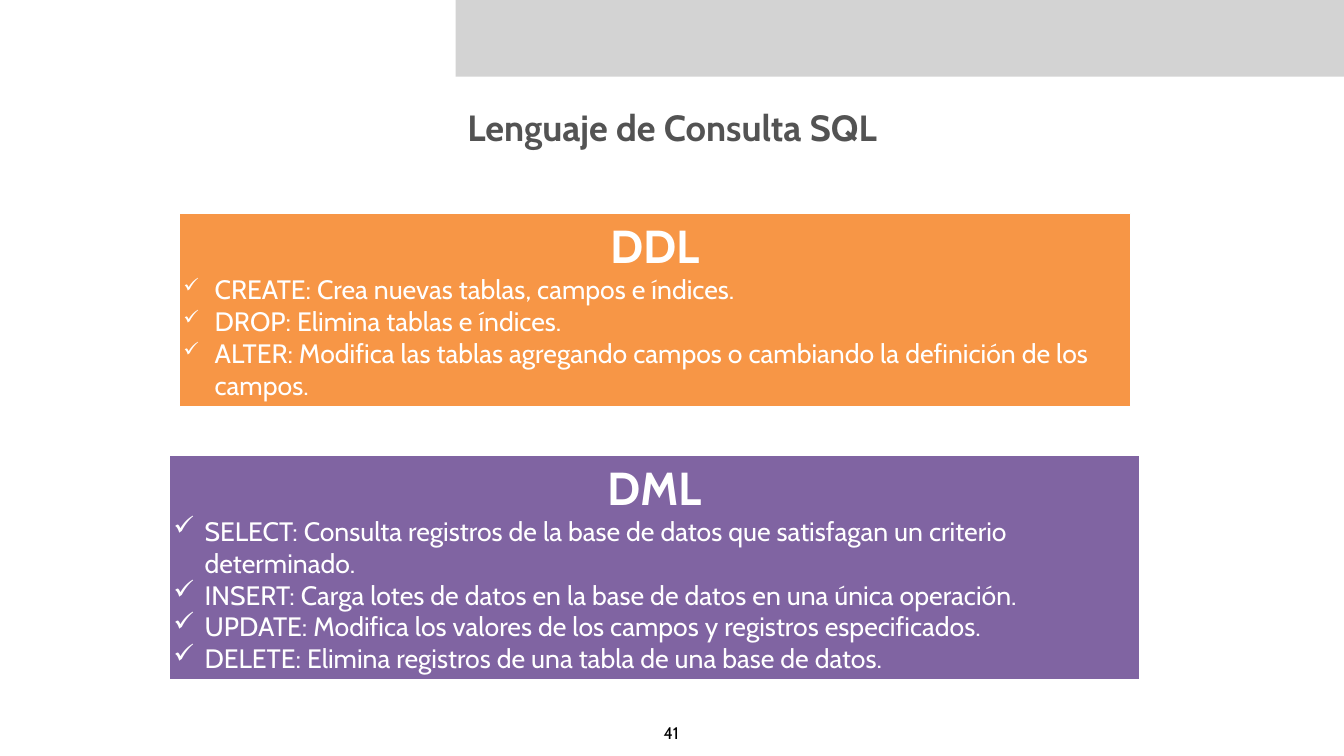
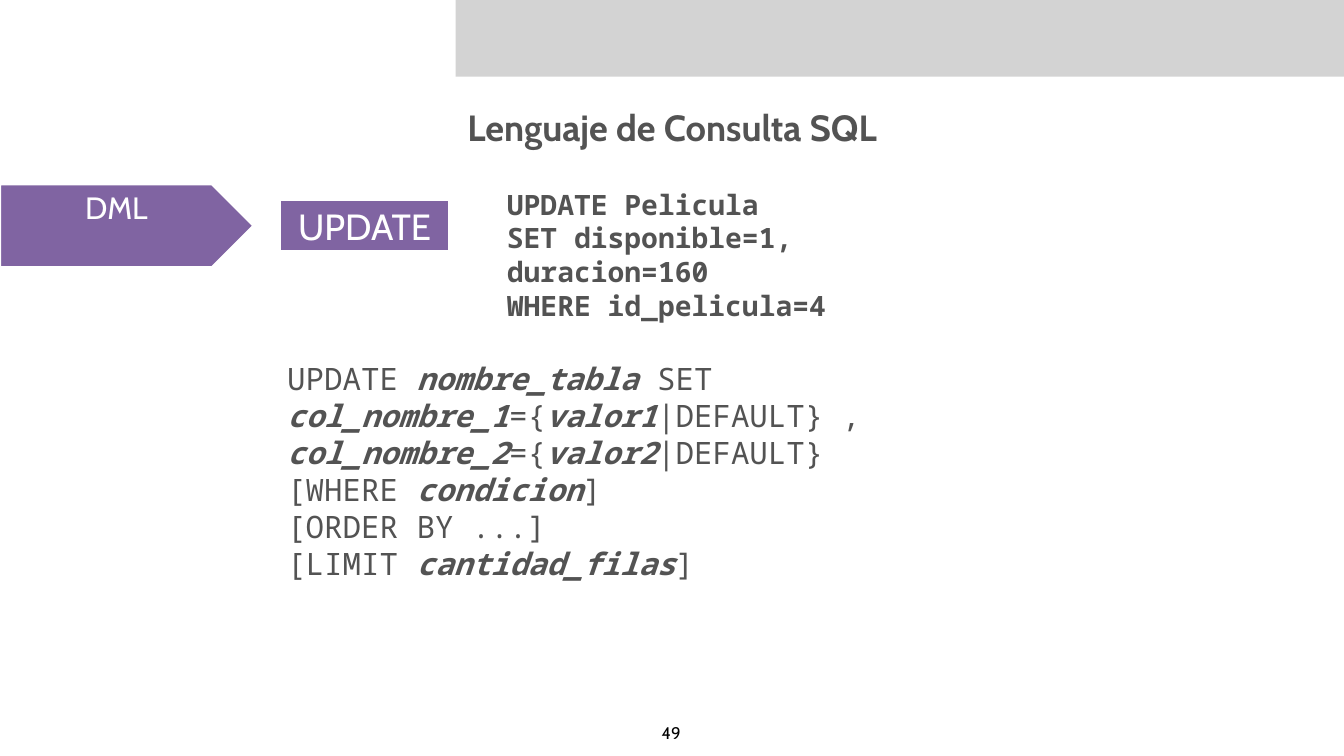
from dataclasses import dataclass

from lxml import etree
from pptx import Presentation
from pptx.dml.color import RGBColor
from pptx.enum.shapes import MSO_SHAPE
from pptx.enum.text import MSO_ANCHOR, MSO_AUTO_SIZE, PP_ALIGN
from pptx.oxml.ns import qn
from pptx.util import Inches, Pt

RECT, ARROW = MSO_SHAPE.RECTANGLE, MSO_SHAPE.PENTAGON
TOP, MIDDLE = MSO_ANCHOR.TOP, MSO_ANCHOR.MIDDLE
LEFT, CENTER = PP_ALIGN.LEFT, PP_ALIGN.CENTER
NO_AUTOFIT = MSO_AUTO_SIZE.NONE

SANS, MONO = "Cabin", "Noto Sans Mono"
WHITE, BLACK, GRAY, BAND = "FFFFFF", "000000", "535353", "D3D3D3"
ORANGE, PURPLE = "F79646", "8064A2"
WIDTH, HEIGHT = 26.67, 15
TITLE = "Lenguaje de Consulta SQL"
INDENT = 0.62
EMPHASIS = "*"


@dataclass
class Box:
    left: float
    top: float
    width: float
    height: float


@dataclass
class Style:
    size: float
    color: str = WHITE
    font: str = SANS
    bold: bool = False
    align: PP_ALIGN = CENTER


@dataclass
class CommandCard:
    box: Box
    fill: str
    line_width: float
    bullet_percent: int
    heading: str
    commands: list[str]


@dataclass
class Label:
    box: Box
    kind: MSO_SHAPE
    anchor: MSO_ANCHOR
    text: str
    size: float


@dataclass
class CodeBlock:
    box: Box
    anchor: MSO_ANCHOR
    style: Style
    lines: list[str]


HEADING = Style(66, bold=True)
COMMAND = Style(38, align=LEFT)
TITLE_STYLE = Style(52, GRAY, bold=True)
PAGE_STYLE = Style(24, BLACK)

CARDS = [
    CommandCard(Box(3.56, 4.23, 18.87, 3.83), ORANGE, 1, 75, "DDL", [
        "CREATE: Crea nuevas tablas, campos e índices.",
        "DROP: Elimina tablas e índices.",
        "ALTER: Modifica las tablas agregando campos o cambiando la definición de los campos.",
    ]),
    CommandCard(Box(3.36, 9.03, 19.26, 4.47), PURPLE, 3, 100, "DML", [
        "SELECT: Consulta registros de la base de datos que satisfagan un criterio determinado.",
        "INSERT: Carga lotes de datos en la base de datos en una única operación.",
        "UPDATE: Modifica los valores de los campos y registros especificados.",
        "DELETE: Elimina registros de una tabla de una base de datos.",
    ]),
]

LABELS = [
    Label(Box(0, 3.66, 5.03, 1.64), ARROW, TOP, "DML", 44),
    Label(Box(5.56, 3.96, 3.35, 1.03), RECT, MIDDLE, "UPDATE", 52),
]

CODE_BLOCKS = [
    CodeBlock(Box(5.62, 7.06, 13.83, 4.6), TOP, Style(44, GRAY, MONO, align=LEFT), [
        "UPDATE *nombre_tabla *SET *col_nombre_1*={*valor1*|DEFAULT} , "
        "*col_nombre_2*={*valor2*|DEFAULT}",
        "[WHERE *condicion*]",
        "[ORDER BY ...]",
        "[LIMIT *cantidad_filas*]",
    ]),
    CodeBlock(Box(9.98, 3.96, 9.47, 2.18), MIDDLE, Style(40, GRAY, MONO, True, LEFT), [
        "UPDATE Pelicula",
        "SET disponible=1, duracion=160",
        "WHERE id_pelicula=4",
    ]),
]


def rgb(value: str) -> RGBColor:
    return RGBColor.from_string(value)


def inches(box: Box) -> tuple:
    return Inches(box.left), Inches(box.top), Inches(box.width), Inches(box.height)


def setup_frame(tf, anchor=TOP, wrap=True) -> None:
    tf.word_wrap = wrap
    tf.auto_size = NO_AUTOFIT
    tf.vertical_anchor = anchor
    tf.margin_left = tf.margin_right = tf.margin_top = tf.margin_bottom = Inches(0.08)


def add_bullet(p, percent: int) -> None:
    p_pr = p._p.get_or_add_pPr()
    p_pr.set("marL", str(Inches(INDENT)))
    p_pr.set("indent", str(-Inches(INDENT)))
    etree.SubElement(p_pr, qn("a:buSzPct")).set("val", str(percent * 1000))
    etree.SubElement(p_pr, qn("a:buChar")).set("char", "✓")


def write(p, text: str, style: Style) -> None:
    p.alignment = style.align
    for i, part in enumerate(text.split(EMPHASIS)):
        if not part:
            continue
        emphasized = i % 2 == 1
        r = p.add_run()
        r.text = part
        r.font.name = style.font
        r.font.size = Pt(style.size)
        r.font.bold = style.bold or emphasized
        r.font.italic = emphasized
        r.font.color.rgb = rgb(style.color)


def add_filled(s, kind, box: Box, fill: str, line_width: float = 0):
    sp = s.shapes.add_shape(kind, *inches(box))
    sp.shadow.inherit = False
    sp.fill.solid()
    sp.fill.fore_color.rgb = rgb(fill)
    if line_width:
        sp.line.color.rgb = rgb(WHITE)
        sp.line.width = Pt(line_width)
    else:
        sp.line.fill.background()
    return sp


def add_slide(prs, page: int):
    s = prs.slides.add_slide(prs.slide_layouts[5])
    add_filled(s, RECT, Box(9.04, 0, WIDTH - 9.04, 1.52), BAND)
    title = s.shapes.title
    title.left, title.top, title.width, title.height = inches(Box(5.29, 2.01, 16.09, 1.03))
    setup_frame(title.text_frame, MIDDLE)
    write(title.text_frame.paragraphs[0], TITLE, TITLE_STYLE)
    number = s.shapes.add_textbox(*inches(Box(13.07, 14.26, 0.5, 0.55)))
    setup_frame(number.text_frame, wrap=False)
    write(number.text_frame.paragraphs[0], str(page), PAGE_STYLE)
    return s


def add_card(s, card: CommandCard) -> None:
    tf = add_filled(s, RECT, card.box, card.fill, card.line_width).text_frame
    setup_frame(tf)
    write(tf.paragraphs[0], card.heading, HEADING)
    for command in card.commands:
        p = tf.add_paragraph()
        add_bullet(p, card.bullet_percent)
        write(p, command, COMMAND)


def add_label(s, label: Label) -> None:
    tf = add_filled(s, label.kind, label.box, PURPLE, 3).text_frame
    setup_frame(tf, label.anchor)
    write(tf.paragraphs[0], label.text, Style(label.size))


def add_code(s, block: CodeBlock) -> None:
    tf = s.shapes.add_textbox(*inches(block.box)).text_frame
    setup_frame(tf, block.anchor)
    for i, line in enumerate(block.lines):
        p = tf.add_paragraph() if i else tf.paragraphs[0]
        write(p, line, block.style)


def main() -> None:
    prs = Presentation()
    prs.slide_width, prs.slide_height = Inches(WIDTH), Inches(HEIGHT)
    s = add_slide(prs, 41)
    for card in CARDS:
        add_card(s, card)
    s = add_slide(prs, 49)
    for block in CODE_BLOCKS:
        add_code(s, block)
    for label in LABELS:
        add_label(s, label)
    prs.save("out.pptx")


if __name__ == "__main__":
    main()
